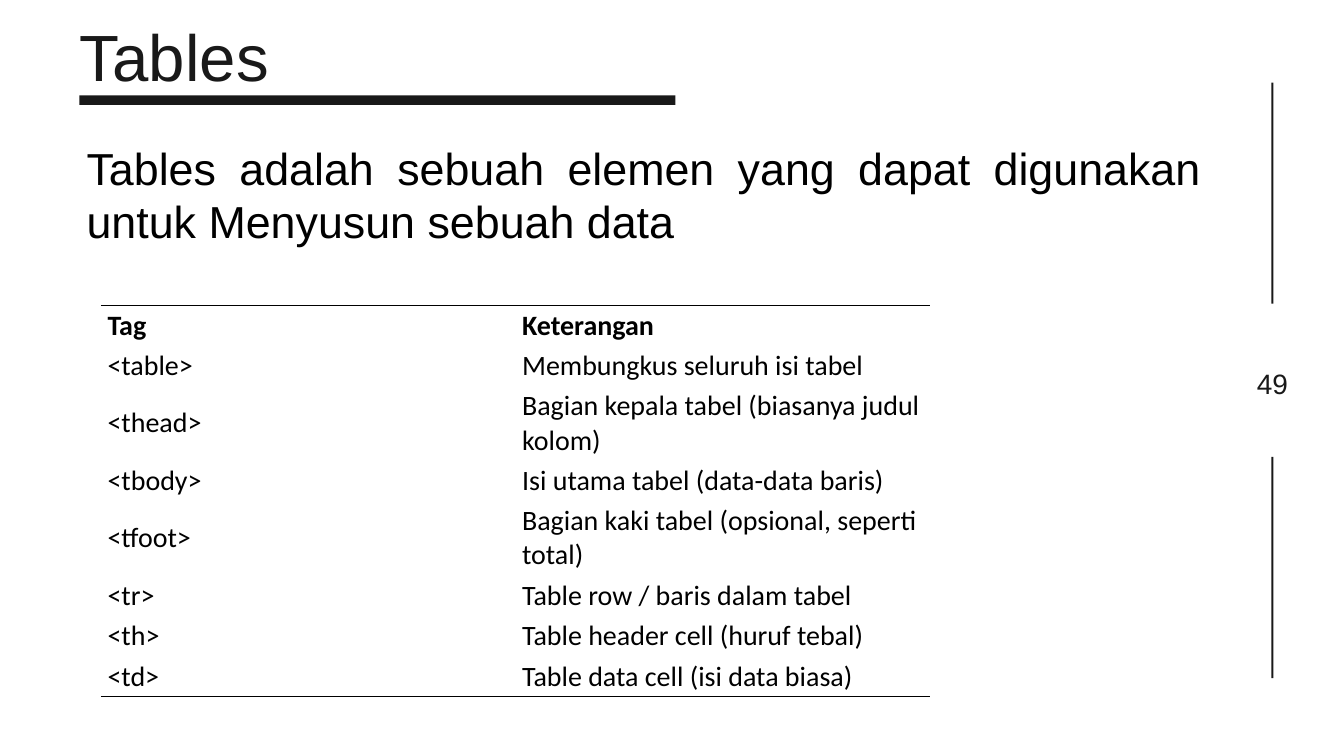
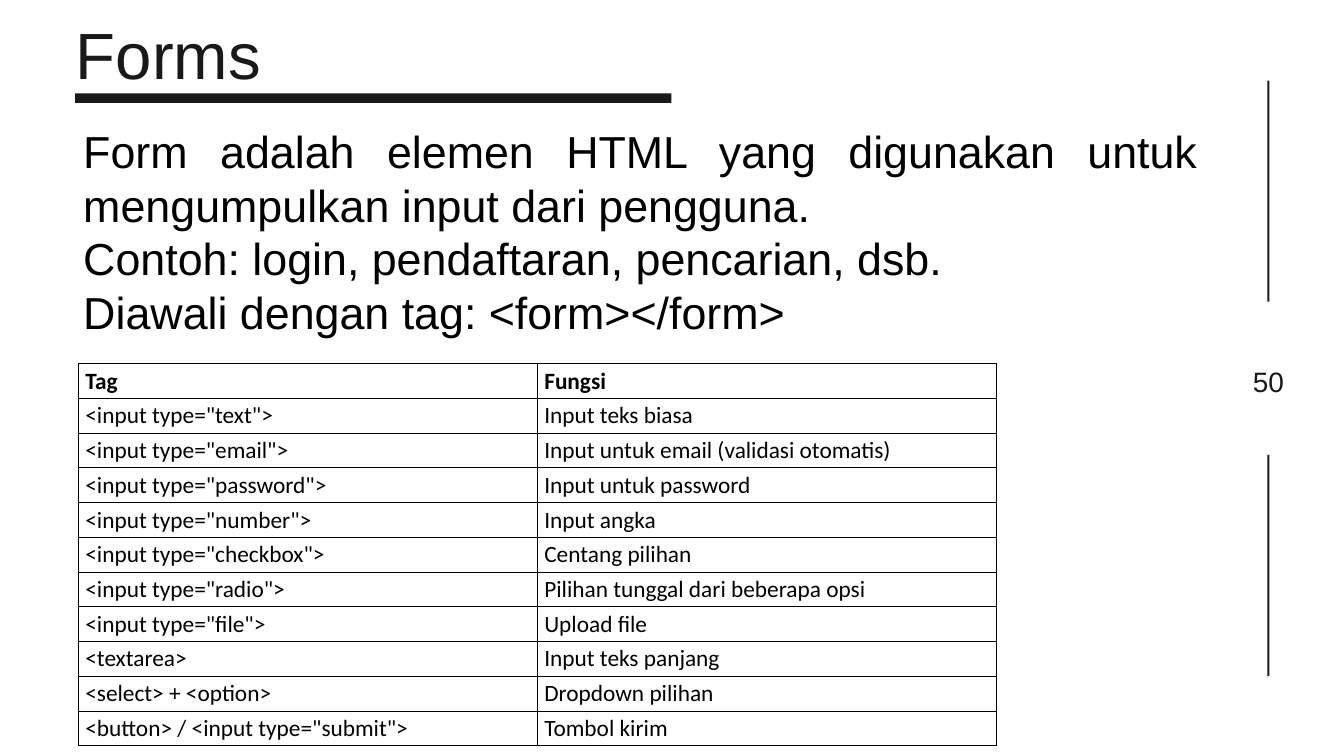
import pptx
import pptx.dml.color
import pptx.enum.shapes
import pptx.enum.text
import pptx.oxml
import pptx.oxml.ns
import pptx.util

PX = 9144  # one px is a hundredth of an inch
COLORS = {"ink": "191919", "text": "000000", "back": "FFFFFF"}
HEAD_FONT, GRID_FONT = "Arial", "Calibri"
PLAIN_STYLE = "{2D5ABB26-0587-4C30-8999-92F81FD0307C}"  # no style, no grid
ALIGN = pptx.enum.text.PP_ALIGN
ANCHOR = pptx.enum.text.MSO_ANCHOR

TABLE_ROWS = [
    ("Tag", "Keterangan"),
    ("<table>", "Membungkus seluruh isi tabel"),
    ("<thead>", "Bagian kepala tabel (biasanya judul kolom)"),
    ("<tbody>", "Isi utama tabel (data-data baris)"),
    ("<tfoot>", "Bagian kaki tabel (opsional, seperti total)"),
    ("<tr>", "Table row / baris dalam tabel"),
    ("<th>", "Table header cell (huruf tebal)"),
    ("<td>", "Table data cell (isi data biasa)"),
]
FORM_ROWS = [
    ("Tag", "Fungsi"),
    ('<input type="text">', "Input teks biasa"),
    ('<input type="email">', "Input untuk email (validasi otomatis)"),
    ('<input type="password">', "Input untuk password"),
    ('<input type="number">', "Input angka"),
    ('<input type="checkbox">', "Centang pilihan"),
    ('<input type="radio">', "Pilihan tunggal dari beberapa opsi"),
    ('<input type="file">', "Upload file"),
    ("<textarea>", "Input teks panjang"),
    ("<select> + <option>", "Dropdown pilihan"),
    ('<button> / <input type="submit">', "Tombol kirim"),
]


def color(name):
    return pptx.dml.color.RGBColor.from_string(COLORS[name])


def emu(*lengths):
    return [pptx.util.Emu(length * PX) for length in lengths]


def style(frame, size, ink, font=HEAD_FONT, align=ALIGN.LEFT, spacing=None, bold=False):
    """Format every paragraph and run of a text frame."""
    for para in frame.paragraphs:
        para.alignment = align
        if spacing:
            para.line_spacing = pptx.util.Pt(spacing)
        for run in para.runs:
            run.font.size = pptx.util.Pt(size)
            run.font.name = font
            run.font.bold = bold
            run.font.color.rgb = color(ink)


def trim(frame):
    """Remove the insets and keep the text at the top."""
    frame.margin_left = frame.margin_right = 0
    frame.margin_top = frame.margin_bottom = 0
    frame.vertical_anchor = ANCHOR.TOP
    frame.auto_size = pptx.enum.text.MSO_AUTO_SIZE.NONE
    frame.word_wrap = True


def bar(slide, left, top, width, height):
    shape = slide.shapes.add_shape(
        pptx.enum.shapes.MSO_SHAPE.RECTANGLE, *emu(left, top, width, height))
    shape.shadow.inherit = False
    shape.fill.solid()
    shape.fill.fore_color.rgb = color("ink")
    shape.line.fill.background()


def heading(slide, text, dx, dy):
    title = slide.shapes.title
    title.left, title.top, title.width, title.height = emu(119 + dx, 25 + dy, 961, 116)
    title.text_frame.text = text
    trim(title.text_frame)
    style(title.text_frame, 70, "ink", spacing=83.2)
    bar(slide, 118 + dx, 142 + dy, 887, 14)


def pager(slide, number, dx, dy):
    """Page number between two upright rules."""
    for top in (123, 680):
        bar(slide, 1892 + dx, top + dy, 3, 329)
    frame = slide.shapes.add_textbox(*emu(1852 + dx, 537 + dy, 83, 55)).text_frame
    frame.text = str(number)
    trim(frame)
    style(frame, 30, "ink", align=ALIGN.CENTER, spacing=42)


def body(slide, text, left, top):
    frame = slide.shapes.add_textbox(*emu(left, top, 1678, 333)).text_frame
    frame.word_wrap = True
    frame.text = text
    style(frame, 48, "text", align=ALIGN.JUSTIFY)


def border(cell, sides):
    """Draw one-point lines on the given sides, a string out of L, R, T and B."""
    props = cell._tc.get_or_add_tcPr()
    for spot, side in enumerate(sides):
        props.insert(spot, pptx.oxml.parse_xml(
            f'<a:ln{side} {pptx.oxml.ns.nsdecls("a")} w="12700"><a:solidFill>'
            f'<a:srgbClr val="{COLORS["text"]}"/></a:solidFill></a:ln{side}>'))


def grid(slide, rows, left, top, col, heights, size, boxed):
    """Two-column table, either fully ruled or ruled at top and bottom only."""
    table = slide.shapes.add_table(
        len(rows), 2, *emu(left, top, 2 * col, sum(heights))).table
    table.first_row = table.horz_banding = False
    table._tbl.tblPr[0].text = PLAIN_STYLE
    for column in table.columns:
        column.width = emu(col)[0]
    last = len(rows) - 1
    for i, (row, height) in enumerate(zip(rows, heights)):
        table.rows[i].height = emu(height)[0]
        sides = "LRTB" if boxed else {0: "T", last: "B"}.get(i, "")
        for j, text in enumerate(row):
            cell = table.cell(i, j)
            cell.text_frame.text = text
            cell.vertical_anchor = ANCHOR.MIDDLE
            cell.fill.background()
            style(cell.text_frame, size, "text", GRID_FONT, bold=i == 0)
            border(cell, sides)


def page(deck, title, number, dx=0, dy=0):
    """Add a slide with its shared parts, shifted by dx and dy."""
    slide = deck.slides.add_slide(deck.slide_layouts[5])
    slide.background.fill.solid()
    slide.background.fill.fore_color.rgb = color("back")
    heading(slide, title, dx, dy)
    pager(slide, number, dx, dy)
    return slide


def main():
    deck = pptx.Presentation()
    deck.slide_width, deck.slide_height = emu(2000, 1125)

    slide = page(deck, "Tables", 49)
    body(slide, "Tables adalah sebuah elemen yang dapat digunakan "
         "untuk Menyusun sebuah data", 119, 204)
    heights = [111 if len(note) > 40 else 59 for tag, note in TABLE_ROWS]
    grid(slide, TABLE_ROWS, 150, 454, 617, heights, 30, boxed=False)

    slide = page(deck, "Forms", 50, -6, -3)
    body(slide, "Form adalah elemen HTML yang digunakan untuk "
         "mengumpulkan input dari pengguna.\n"
         "Contoh: login, pendaftaran, pencarian, dsb.\n"
         "Diawali dengan tag: <form></form>", 114, 179)
    grid(slide, FORM_ROWS, 117, 541, 683, [51] * len(FORM_ROWS), 25, boxed=True)

    deck.save("out.pptx")


if __name__ == "__main__":
    main()
